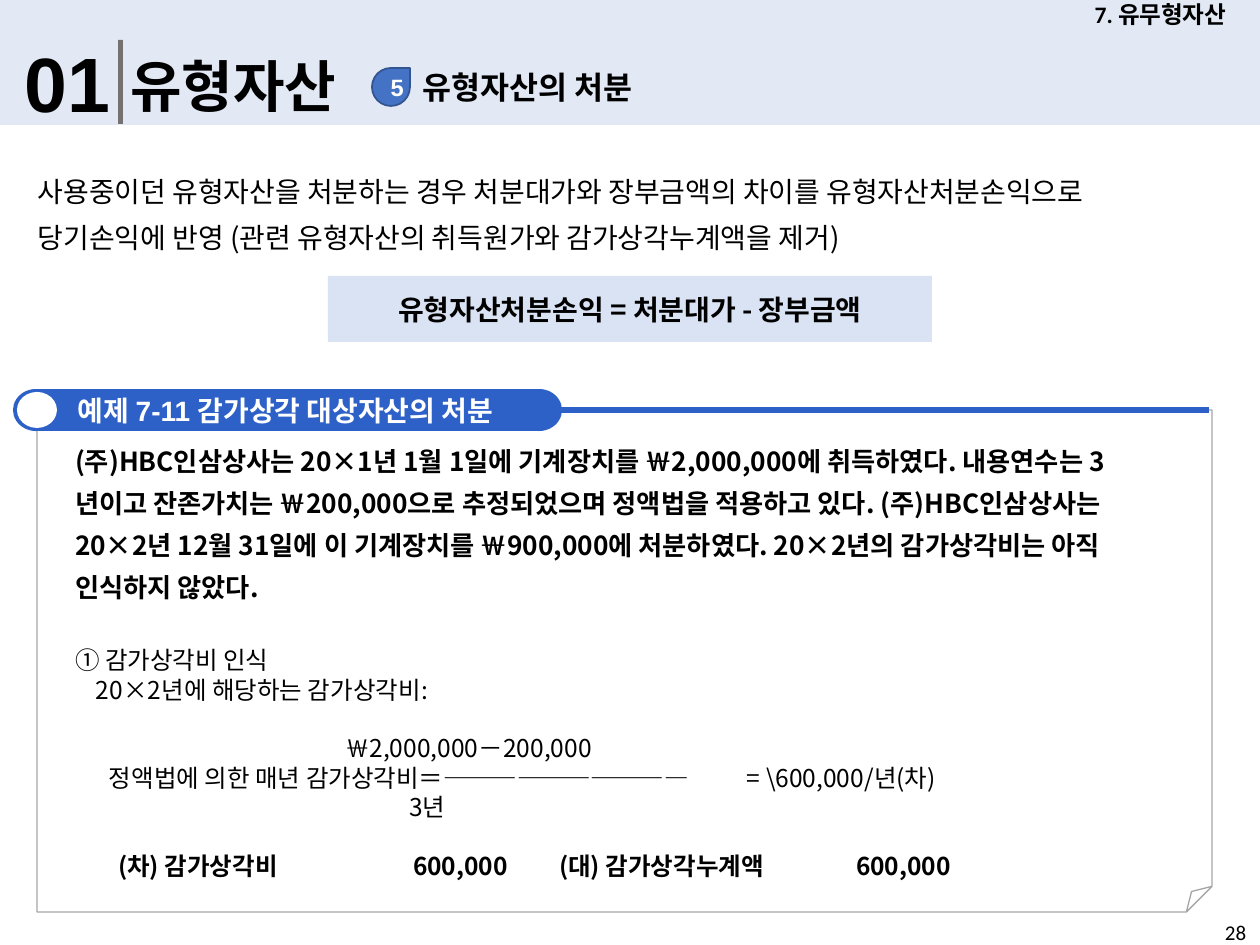
from dataclasses import dataclass

from lxml.etree import SubElement
from pptx import Presentation
from pptx.dml.color import RGBColor
from pptx.enum.shapes import MSO_SHAPE
from pptx.enum.text import MSO_ANCHOR, MSO_AUTO_SIZE, PP_ALIGN
from pptx.oxml.ns import qn
from pptx.util import Pt


@dataclass(frozen=True)
class Theme:
    black: str = "000000"
    white: str = "FFFFFF"
    pale: str = "DAE3F3"
    gray: str = "767171"
    frame: str = "A6A6A6"
    blue: str = "2D61C8"
    badge: str = "4472C4"
    badge_line: str = "325491"
    latin: str = "Arial"
    heading: str = "Calibri"
    korean: str = "Noto Sans CJK KR"
    number_size: float = 44
    title_size: float = 32
    subtitle_size: float = 18
    text_size: float = 16
    example_size: float = 15
    answer_size: float = 14
    label_size: float = 13.5
    page_size: float = 12


THEME = Theme()
EMU_PER_PX = 914400 / 126
SLIDE_SIZE = (1260, 945)

SECTION_NUMBER = "01"
TITLE = "유형자산"
TOPIC_NUMBER = "5"
TOPIC = "유형자산의 처분"
CHAPTER = "7. 유무형자산"
PAGE_NUMBER = "28"
INTRO = ("사용중이던 유형자산을 처분하는 경우 처분대가와 장부금액의 차이를 유형자산처분손익으로 "
         "당기손익에 반영 (관련 유형자산의 취득원가와 감가상각누계액을 제거)")
FORMULA = "유형자산처분손익 = 처분대가 - 장부금액"
EXAMPLE_HEADING = [("예제 ", THEME.heading), ("7-11 ", THEME.latin),
                   ("감가상각 대상자산의 처분", THEME.heading)]
EXAMPLE = ("(주)HBC인삼상사는 20×1년 1월 1일에 기계장치를 ￦2,000,000에 취득하였다. "
           "내용연수는 3년이고 잔존가치는 ￦200,000으로 추정되었으며 정액법을 적용하고 있다. "
           "(주)HBC인삼상사는 20×2년 12월 31일에 이 기계장치를 ￦900,000에 처분하였다. "
           "20×2년의 감가상각비는 아직 인식하지 않았다.")
ANSWER = [
    dict(text="① 감가상각비 인식", before=24),
    dict(text="20×2년에 해당하는 감가상각비:", indent=21),
    dict(text="￦2,000,000－200,000", indent=270, before=16.8),
    dict(text="정액법에 의한 매년 감가상각비＝――――――――――\t= \\600,000/년(차)",
         indent=34, tabs=(638,)),
    dict(text="3년", indent=334),
    dict(text="(차) 감가상각비\t600,000\t(대) 감가상각누계액\t600,000",
         indent=43, tabs=(295, 441, 738), before=16.8, bold=True),
]


def px(value):
    return round(value * EMU_PER_PX)


def add_span(para, text, size, font=THEME.korean, color=THEME.black, bold=False):
    span = para.add_run()
    span.text = text
    span.font.name = font
    span.font.size = Pt(size)
    span.font.bold = bold
    span.font.color.rgb = RGBColor.from_string(color)
    SubElement(span.font._element, qn("a:ea")).set("typeface", THEME.korean)


def set_frame(shape, insets=(13, 6, 13, 6), anchor=MSO_ANCHOR.TOP, align=PP_ALIGN.LEFT):
    frame = shape.text_frame
    frame.word_wrap = True
    frame.auto_size = MSO_AUTO_SIZE.NONE
    frame.vertical_anchor = anchor
    frame.margin_left, frame.margin_top, frame.margin_right, frame.margin_bottom = map(px, insets)
    para = frame.paragraphs[0]
    para.alignment = align
    return para


def add_text(slide, place, text, size, font=THEME.korean, bold=True, **frame):
    box = slide.shapes.add_textbox(*map(px, place))
    para = set_frame(box, **frame)
    add_span(para, text, size, font, bold=bold)
    return box


def add_block(slide, kind, place, fill=None, line=None, line_width=1):
    shape = slide.shapes.add_shape(kind, *map(px, place))
    shape.shadow.inherit = False
    if fill:
        shape.fill.solid()
        shape.fill.fore_color.rgb = RGBColor.from_string(fill)
    else:
        shape.fill.background()
    if line:
        shape.line.color.rgb = RGBColor.from_string(line)
        shape.line.width = Pt(line_width)
    else:
        shape.line.fill.background()
    return shape


def add_answer_line(frame, text, indent=0, tabs=(), before=0, bold=False):
    para = frame.add_paragraph()
    para.line_spacing = Pt(16.8)
    para.space_before = Pt(before)
    properties = para._p.get_or_add_pPr()
    properties.set("marL", str(px(indent)))
    if tabs:
        tab_list = SubElement(properties, qn("a:tabLst"))
        for position in tabs:
            tab = SubElement(tab_list, qn("a:tab"))
            tab.set("pos", str(px(position)))
            tab.set("algn", "l")
    add_span(para, text, THEME.answer_size, bold=bold)


def add_header(slide):
    band = add_block(slide, MSO_SHAPE.RECTANGLE, (0, 0, 1260, 125), THEME.pale)
    band_color = next(band.element.iter(qn("a:srgbClr")))
    SubElement(band_color, qn("a:alpha")).set("val", "76000")
    title = slide.shapes.title
    title.element.addprevious(band.element)
    title.left, title.top, title.width, title.height = map(px, (117, 45, 707, 81))
    add_span(set_frame(title), TITLE, THEME.title_size, THEME.heading, bold=True)
    add_text(slide, (12, 29, 115, 106), SECTION_NUMBER, THEME.number_size, THEME.latin)
    add_block(slide, MSO_SHAPE.RECTANGLE, (118, 40, 5, 84), THEME.gray)
    add_text(slide, (410, 62, 389, 50), TOPIC, THEME.subtitle_size, THEME.heading)
    badge = add_block(slide, MSO_SHAPE.TEAR, (372, 68, 38, 38), THEME.badge, THEME.badge_line)
    para = set_frame(badge, anchor=MSO_ANCHOR.MIDDLE, align=PP_ALIGN.CENTER)
    add_span(para, TOPIC_NUMBER, THEME.label_size, THEME.latin, THEME.white, True)
    add_text(slide, (1061, 0, 199, 29), CHAPTER, THEME.label_size, THEME.heading,
             anchor=MSO_ANCHOR.MIDDLE, align=PP_ALIGN.CENTER)


def add_rule(slide):
    intro = add_text(slide, (28, 158, 1182, 160), INTRO, THEME.text_size,
                     bold=False, insets=(10, 5, 10, 5))
    intro.text_frame.paragraphs[0].line_spacing = Pt(26)
    formula = add_block(slide, MSO_SHAPE.RECTANGLE, (328, 276, 604, 66), THEME.pale)
    para = set_frame(formula, anchor=MSO_ANCHOR.MIDDLE, align=PP_ALIGN.CENTER)
    add_span(para, FORMULA, THEME.text_size, bold=True)


def add_example(slide):
    note = add_block(slide, MSO_SHAPE.FOLDED_CORNER, (37, 410, 1175, 502),
                     line=THEME.frame, line_width=0.75)
    fold = SubElement(next(note.element.iter(qn("a:avLst"))), qn("a:gd"))
    fold.set("name", "adj")
    fold.set("fmla", "val 5100")
    add_block(slide, MSO_SHAPE.RECTANGLE, (38, 407, 1171, 6), THEME.blue)
    for left in (13, 516):
        add_block(slide, MSO_SHAPE.OVAL, (left, 389, 46, 42), THEME.blue)
    heading = add_block(slide, MSO_SHAPE.RECTANGLE, (35, 389, 504, 42), THEME.blue)
    para = set_frame(heading, insets=(43, 6, 13, 6), anchor=MSO_ANCHOR.MIDDLE)
    for text, font in EXAMPLE_HEADING:
        add_span(para, text, THEME.text_size, font, THEME.white, True)
    add_block(slide, MSO_SHAPE.OVAL, (17, 392, 40, 36), THEME.white)
    example = add_text(slide, (61, 429, 1103, 460), EXAMPLE, THEME.example_size,
                       insets=(14, 6, 14, 6))
    example.text_frame.paragraphs[0].line_spacing = Pt(24)
    for line in ANSWER:
        add_answer_line(example.text_frame, **line)


def main():
    deck = Presentation()
    deck.slide_width, deck.slide_height = map(px, SLIDE_SIZE)
    slide = deck.slides.add_slide(deck.slide_layouts[5])
    add_header(slide)
    add_rule(slide)
    add_example(slide)
    page = add_text(slide, (1212, 914, 48, 31), PAGE_NUMBER, THEME.page_size,
                    THEME.heading, bold=False)
    page.text_frame.word_wrap = False
    deck.save("out.pptx")


if __name__ == "__main__":
    main()
